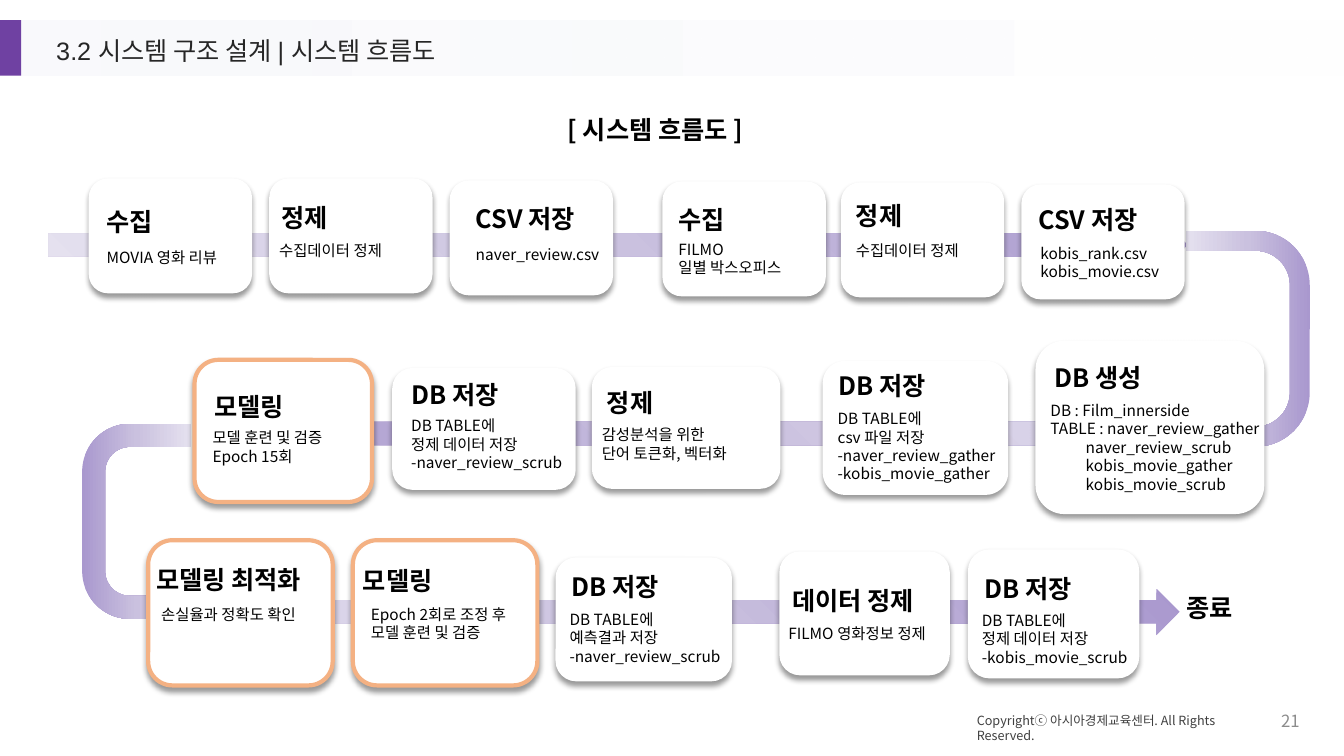
from lxml import etree
from pptx import Presentation
from pptx.dml.color import RGBColor
from pptx.enum import shapes, text
from pptx.oxml import ns
from pptx.util import Inches, Pt

THEME = {
    "font": "Noto Sans CJK KR", "band font": "Arial",
    "ink": "000000", "title": "262626", "credit": "404040", "page": "8C8C8C",
    "card": "FFFFFF", "accent": "6F41A2", "model": "F4B183",
    "head": 18, "body": 11, "small": 9, "number": 12,
    "head line": 23, "body line": 13.2,
    "flow": [(0, "A998CE", 100), (50, "CAC1DF", 100), (100, "E5E1EF", 100)],
    "band": [(0, "FFFFFF", 100), (100, "F6F7FB", 58)],
}

# Arrows: kind, frame, turn, upright flip, adjustments, gradient angle
MST = shapes.MSO_SHAPE
ARROWS = [
    (MST.RIGHT_ARROW, (1.95, 4.07, 10.58, 0.46), 180, False, (), 135),
    (MST.U_TURN_ARROW, (0.31, 4.71, 2.09, 1.08), 90, True,
     (0.211, 0.25, 0.25, 0.438, 1), 90),
    (MST.RIGHT_ARROW, (1.47, 5.84, 10.23, 0.46), 0, False, (), 135),
    (MST.RIGHT_ARROW, (0.48, 2.2, 11.3, 0.46), 0, False, (), 135),
    (MST.U_TURN_ARROW, (11.2, 2.85, 2.35, 1.23), 90, False,
     (0.16, 0.25, 0.25, 0.438, 0.75), 90),
]

# Cards: frame, heading, its (left, top, width), lines, their (left, top, width)
STEP = (1.62, 1.14)
PLAIN = [
    ((0.88, 1.77, *STEP), "수집", (0.96, 1.98, 0.95),
     ["MOVIA 영화 리뷰"], (0.96, 2.41, 1.48)),
    ((2.67, 1.77, *STEP), "정제", (2.69, 1.94, 1.65),
     ["수집데이터 정제"], (2.67, 2.34, 1.76)),
    ((4.46, 1.79, *STEP), "CSV 저장", (4.62, 1.95, 1.51),
     ["naver_review.csv"], (4.62, 2.38, 1.44)),
    ((6.57, 1.8, *STEP), "수집", (6.63, 1.96, 1.65),
     ["FILMO", "일별 박스오피스"], (6.63, 2.33, 1.44)),
    ((8.34, 1.81, *STEP), "정제", (8.39, 1.92, 1.66),
     ["수집데이터 정제"], (8.39, 2.34, 1.57)),
    ((10.13, 1.83, *STEP), "CSV 저장", (10.2, 1.96, 1.31),
     ["kobis_rank.csv", "kobis_movie.csv"], (10.22, 2.37, 1.48)),
    ((10.27, 3.38, 2.27, 1.72), "DB 생성", (10.36, 3.53, 1.74),
     ["DB : Film_innerside", "TABLE : naver_review_gather",
      ("naver_review_scrub", 0.35), ("kobis_movie_gather", 0.35),
      ("kobis_movie_scrub", 0.35)], (10.32, 3.93, 2.47)),
    ((8.16, 3.58, 1.84, 1.33), "DB 저장", (8.22, 3.61, 1.97),
     ["DB TABLE에", "csv 파일 저장", "-naver_review_gather",
      "-kobis_movie_gather"], (8.21, 4.01, 1.97)),
    ((5.87, 3.64, 1.87, 1.21), "정제", (5.92, 3.77, 1.85),
     ["감성분석을 위한", "단어 토큰화, 벡터화"], (5.87, 4.17, 2.09)),
    ((3.89, 3.65, 1.82, 1.21), "DB 저장", (3.98, 3.69, 1.65),
     ["DB TABLE에", "정제 데이터 저장", "-naver_review_scrub"],
     (3.98, 4.08, 1.85)),
    ((5.51, 5.53, 1.75, 1.23), "DB 저장", (5.57, 5.6, 1.64),
     ["DB TABLE에", "예측결과 저장", "-naver_review_scrub"],
     (5.55, 6, 1.72)),
    ((7.73, 5.47, 1.69, 1.23), "데이터 정제", (7.76, 5.74, 1.66),
     ["FILMO 영화정보 정제"], (7.72, 6.14, 1.88)),
    ((9.6, 5.45, 1.7, 1.28), "DB 저장", (9.67, 5.62, 1.48),
     ["DB TABLE에", "정제 데이터 저장", "-kobis_movie_scrub"],
     (9.64, 6.01, 1.83)),
]
MODEL = [
    ((1.93, 3.57, 1.76, 1.41), "모델링", (2.03, 3.81, 1.74),
     ["모델 훈련 및 검증", "Epoch 15회"], (2.01, 4.2, 1.83)),
    ((1.47, 5.36, 1.83, 1.44), "모델링 최적화", (1.45, 5.53, 1.88),
     ["손실율과 정확도 확인"], (1.5, 5.95, 1.83)),
    ((3.5, 5.36, 1.83, 1.44), "모델링", (3.5, 5.54, 1.88),
     ["Epoch 2회로 조정 후", "모델 훈련 및 검증"], (3.58, 5.95, 1.83)),
]

deck = Presentation()
deck.slide_width, deck.slide_height = Inches(13.33), Inches(7.5)
slide = deck.slides.add_slide(deck.slide_layouts[6])


def color(key):
    return RGBColor.from_string(THEME[key])


def node(up, tag, **vals):
    return etree.SubElement(up, ns.qn("a:" + tag), {k: str(v) for k, v in vals.items()})


def shape(kind, frame, fill=None):
    item = slide.shapes.add_shape(kind, *map(Inches, frame))
    item.shadow.inherit = False
    item.line.fill.background()
    if fill:
        item.fill.solid()
        item.fill.fore_color.rgb = color(fill)
    return item


def blend(item, stops, angle):
    grad = etree.Element(ns.qn("a:gradFill"), rotWithShape="1")
    rows = node(grad, "gsLst")
    for pos, rgb, alpha in stops:
        tint = node(node(rows, "gs", pos=pos * 1000), "srgbClr", val=rgb)
        if alpha < 100:
            node(tint, "alpha", val=alpha * 1000)
    node(grad, "lin", ang=angle * 60000, scaled=0)
    item.element.spPr.find(ns.qn("a:prstGeom")).addnext(grad)


def write(frame, lines, size="body", ink="ink", face="font", bold=False, **form):
    box = slide.shapes.add_textbox(*map(Inches, frame))
    box.text_frame.word_wrap = True
    box.text_frame.vertical_anchor = form.pop("anchor", text.MSO_ANCHOR.TOP)
    for i, line in enumerate(lines):
        words, inset = line if isinstance(line, tuple) else (line, 0)
        para = box.text_frame.paragraphs[0] if i == 0 else box.text_frame.add_paragraph()
        if inset:
            para._p.get_or_add_pPr().set("marL", str(Inches(inset)))
        for key, val in form.items():
            setattr(para, key, val)
        run = para.add_run()
        run.text = words
        look = {"size": Pt(THEME[size]), "name": THEME[face], "bold": bold}
        for key, val in look.items():
            setattr(run.font, key, val)
        run.font.color.rgb = color(ink)
        node(run._r.get_or_add_rPr(), "ea", typeface=THEME["font"])


def head(words, spot, **form):
    write((*spot, 0.4), [words], "head", bold=True,
          line_spacing=Pt(THEME["head line"]), **form)


def card(frame, title, spot, lines, place, edge=None):
    item = shape(MST.ROUNDED_RECTANGLE, frame, "card")
    if edge:
        item.line.color.rgb = color(edge)
        item.line.width = Pt(3)
    glow = node(item.element.spPr.find(ns.qn("a:effectLst")), "outerShdw",
                blurRad=Pt(4), dist=Pt(3), dir=5400000, algn="t", rotWithShape=0)
    node(node(glow, "srgbClr", val=THEME["ink"]), "alpha", val=40000)
    head(title, spot)
    write((*place, 0.1 + 0.185 * len(lines)), lines,
          line_spacing=Pt(THEME["body line"]))


# Title band
band = shape(MST.RECTANGLE, (0.21, 0.2, 13.12, 0.55))
band.element.spPr.xfrm.set("flipH", "1")
blend(band, THEME["band"], 0)
shape(MST.RECTANGLE, (0, 0.2, 0.21, 0.55), "accent")
write((0.46, 0.33, 4.94, 0.39), ["3.2 시스템 구조 설계 | 시스템 흐름도"],
      "head", "title", "band font", line_spacing=0.9)
head("[ 시스템 흐름도 ]", (5.33, 1.07, 2.34), alignment=text.PP_ALIGN.CENTER)

# Flow arrows
for kind, frame, turn, flip, adjust, angle in ARROWS:
    arrow = shape(kind, frame)
    arrow.rotation = turn
    if flip:
        arrow.element.spPr.xfrm.set("flipV", "1")
    for i, val in enumerate(adjust):
        arrow.adjustments[i] = val
    blend(arrow, THEME["flow"], angle)
    for old in arrow.element.spPr.findall(ns.qn("a:solidFill")):
        arrow.element.spPr.remove(old)

# Step cards
for step in PLAIN:
    card(*step)
for step in MODEL:
    card(*step, edge="model")
head("종료", (11.67, 5.81, 0.98))

# Footer
write((9.59, 7.02, 3.06, 0.25), ["Copyrightⓒ 아시아경제교육센터. All Rights Reserved."],
      "small", "credit", line_spacing=Pt(11))
write((12.37, 6.95, 0.62, 0.4), ["21"], "number", "page",
      alignment=text.PP_ALIGN.RIGHT, anchor=text.MSO_ANCHOR.MIDDLE)

deck.save("out.pptx")
